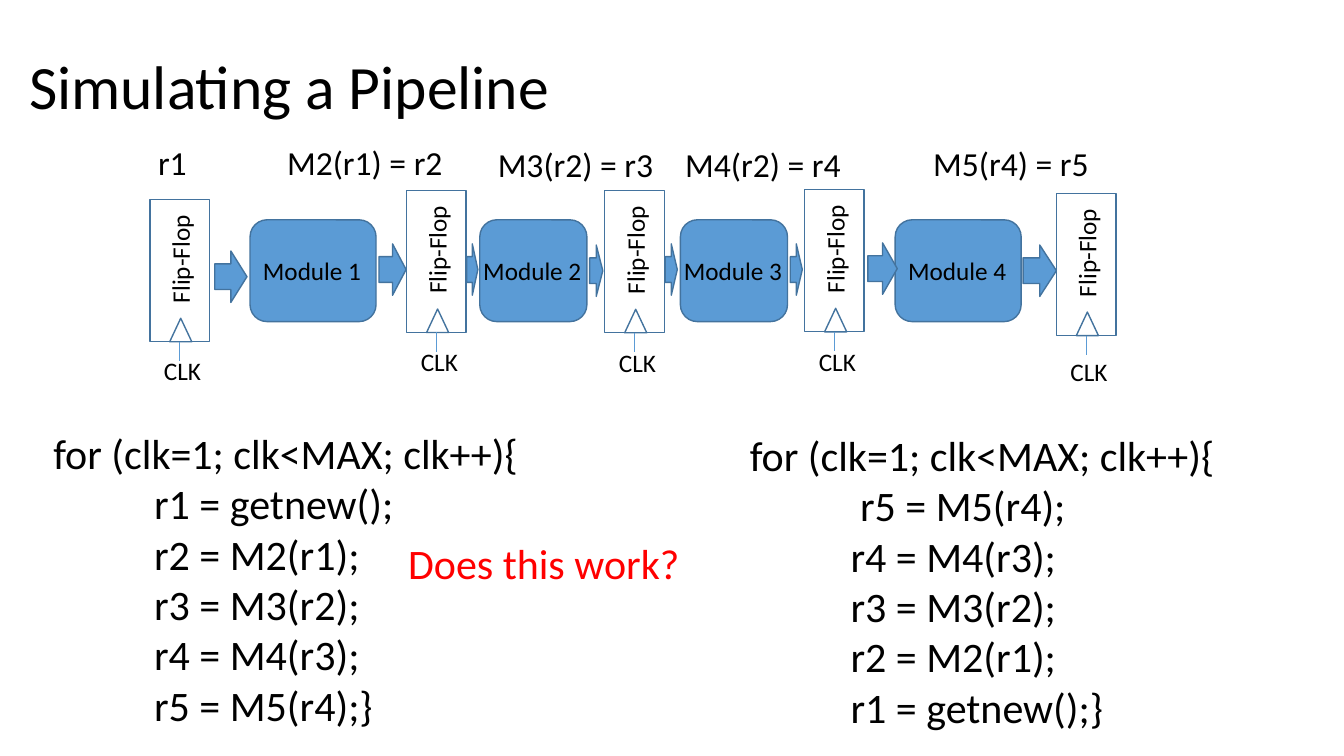
from dataclasses import dataclass

from lxml import etree
from pptx import Presentation
from pptx.dml.color import RGBColor
from pptx.enum.shapes import MSO_CONNECTOR, MSO_SHAPE
from pptx.enum.text import MSO_ANCHOR
from pptx.oxml.ns import qn
from pptx.util import Pt

RECTANGLE = MSO_SHAPE.RECTANGLE
ROUNDED = MSO_SHAPE.ROUNDED_RECTANGLE
TRIANGLE = MSO_SHAPE.ISOSCELES_TRIANGLE
ARROW = MSO_SHAPE.RIGHT_ARROW
STRAIGHT = MSO_CONNECTOR.STRAIGHT
TOP, MIDDLE = MSO_ANCHOR.TOP, MSO_ANCHOR.MIDDLE

FONT = "Calibri"
BLACK, RED, BLUE, OUTLINE = "000000", "FF0000", "5B9BD5", "43739E"
BOTTOM_SIDE = 2
LABEL_HEIGHT = 28.8
MODULE_TOP, MODULE_HEIGHT = 157, 72.7
MODULE_LABEL_WIDTH = 85.7
FLIP_FLOP_WIDTH, FLIP_FLOP_HEIGHT = 42.5, 101.5
ARROW_HEIGHT = 36.7
CODE_INDENT = 72


@dataclass
class Module:
    name: str
    left: float
    width: float


@dataclass
class FlipFlop:
    left: float
    top: float
    clock_gap: float = 108


@dataclass
class Arrow:
    left: float
    top: float
    width: float


@dataclass
class Label:
    text: str
    left: float
    top: float
    width: float = 126.7


@dataclass
class Code:
    left: float
    top: float
    body: list[str]


MODULES = [
    Module("Module 1", 178.6, 90),
    Module("Module 2", 342.7, 76.5),
    Module("Module 3", 486, 76.5),
    Module("Module 4", 639.4, 90),
]
FLIP_FLOPS = [
    FlipFlop(107, 142.6),
    FlipFlop(290.5, 136),
    FlipFlop(432, 136.2),
    FlipFlop(574.8, 135.5),
    FlipFlop(754.6, 138.2, 113),
]
ARROWS = [
    Arrow(153.4, 179.3, 23),
    Arrow(270.7, 174.2, 19.4),
    Arrow(333.4, 174.2, 7.9),
    Arrow(421.2, 175, 9.4),
    Arrow(475.2, 174.2, 8.6),
    Arrow(564.5, 174.2, 8.6),
    Arrow(619.9, 173.5, 21),
    Arrow(730.8, 175, 23.8),
]
LABELS = [
    Label("r1", 105.8, 97.9, 35.3),
    Label("M2(r1) = r2", 198, 97.9),
    Label("M3(r2) = r3", 348.5, 99.4),
    Label("M4(r2) = r4", 482.4, 99.4),
    Label("M5(r4) = r5", 659.5, 98.6),
]
LOOP_HEADER = "for (clk=1; clk<MAX; clk++){"
CODES = [
    Code(31, 301.7, ["r1 = getnew();", "r2 = M2(r1);", "r3 = M3(r2);",
                     "r4 = M4(r3);", "r5 = M5(r4);}"]),
    Code(528.5, 303.1, [" r5 = M5(r4);", "r4 = M4(r3);", "r3 = M3(r2);",
                        "r2 = M2(r1);", "r1 = getnew();}"]),
]


def color(value: str) -> RGBColor:
    return RGBColor.from_string(value)


def add_text(slide, text: str, left: float, top: float, width: float,
             height: float = LABEL_HEIGHT, *, size: float = 18,
             text_color: str = BLACK, wrap: bool = False, anchor=TOP,
             rotation: float = 0, line_spacing: float = 1, body_indent: float = 0):
    """Add a text box; lines after the first are indented by body_indent."""
    shape = slide.shapes.add_textbox(Pt(left), Pt(top), Pt(width), Pt(height))
    shape.rotation = rotation
    frame = shape.text_frame
    frame.word_wrap = wrap
    frame.vertical_anchor = anchor
    frame.text = text
    for index, paragraph in enumerate(frame.paragraphs):
        paragraph.line_spacing = line_spacing
        paragraph.font.name = FONT
        paragraph.font.size = Pt(size)
        paragraph.font.color.rgb = color(text_color)
        if index and body_indent:
            properties = paragraph._p.get_or_add_pPr()
            properties.set("marL", str(Pt(body_indent)))
    return shape


def add_block(slide, kind, left: float, top: float, width: float, height: float,
              fill: str | None = None):
    shape = slide.shapes.add_shape(kind, Pt(left), Pt(top), Pt(width), Pt(height))
    shape.shadow.inherit = False
    if fill:
        shape.fill.solid()
        shape.fill.fore_color.rgb = color(fill)
    else:
        shape.fill.background()
    shape.line.color.rgb = color(OUTLINE)
    shape.line.width = Pt(1)
    return shape


def add_module(slide, module: Module) -> None:
    add_block(slide, ROUNDED, module.left, MODULE_TOP, module.width, MODULE_HEIGHT, BLUE)
    add_text(slide, module.name,
             module.left + (module.width - MODULE_LABEL_WIDTH) / 2,
             MODULE_TOP + (MODULE_HEIGHT - LABEL_HEIGHT) / 2, MODULE_LABEL_WIDTH)


def add_flip_flop(slide, item: FlipFlop) -> None:
    body = add_block(slide, RECTANGLE, item.left, item.top,
                     FLIP_FLOP_WIDTH, FLIP_FLOP_HEIGHT)
    add_block(slide, TRIANGLE, item.left + 14.2, item.top + 84.7, 15.8, 16.8)
    add_text(slide, "Flip-Flop", item.left - 17.5, item.top + 27.7, 77.8, rotation=270)

    # Clock wire, from the bottom of the register
    center = item.left + FLIP_FLOP_WIDTH / 2
    bottom = item.top + FLIP_FLOP_HEIGHT
    wire = slide.shapes.add_connector(STRAIGHT, Pt(center), Pt(bottom),
                                      Pt(center), Pt(bottom + 14))
    wire.begin_connect(body, BOTTOM_SIDE)
    wire.line.color.rgb = color(BLUE)
    wire.line.width = Pt(0.5)
    etree.SubElement(wire._element.spPr, qn("a:effectLst"))
    add_text(slide, "CLK", item.left + 3, item.top + item.clock_gap, 42)


def main() -> None:
    presentation = Presentation()
    presentation.slide_width, presentation.slide_height = Pt(960), Pt(540)
    slide = presentation.slides.add_slide(presentation.slide_layouts[6])

    # Title
    add_text(slide, "Simulating a Pipeline", 13.7, 11.5, 828, 104.4, size=44,
             wrap=True, anchor=MIDDLE, line_spacing=0.9)

    # Pipeline
    for module in MODULES:
        add_module(slide, module)
    for flip_flop in FLIP_FLOPS:
        add_flip_flop(slide, flip_flop)
    for arrow in ARROWS:
        add_block(slide, ARROW, arrow.left, arrow.top, arrow.width, ARROW_HEIGHT, BLUE)
    for label in LABELS:
        add_text(slide, label.text, label.left, label.top, label.width, 36, size=24)

    # Simulation loops and question
    for code in CODES:
        add_text(slide, "\n".join([LOOP_HEADER, *code.body]), code.left, code.top,
                 350, 225.4, size=30, body_indent=CODE_INDENT)
    add_text(slide, "Does this work?", 284.4, 380.2, 210.2, 43.9, size=30, text_color=RED)

    presentation.save("out.pptx")


if __name__ == "__main__":
    main()
